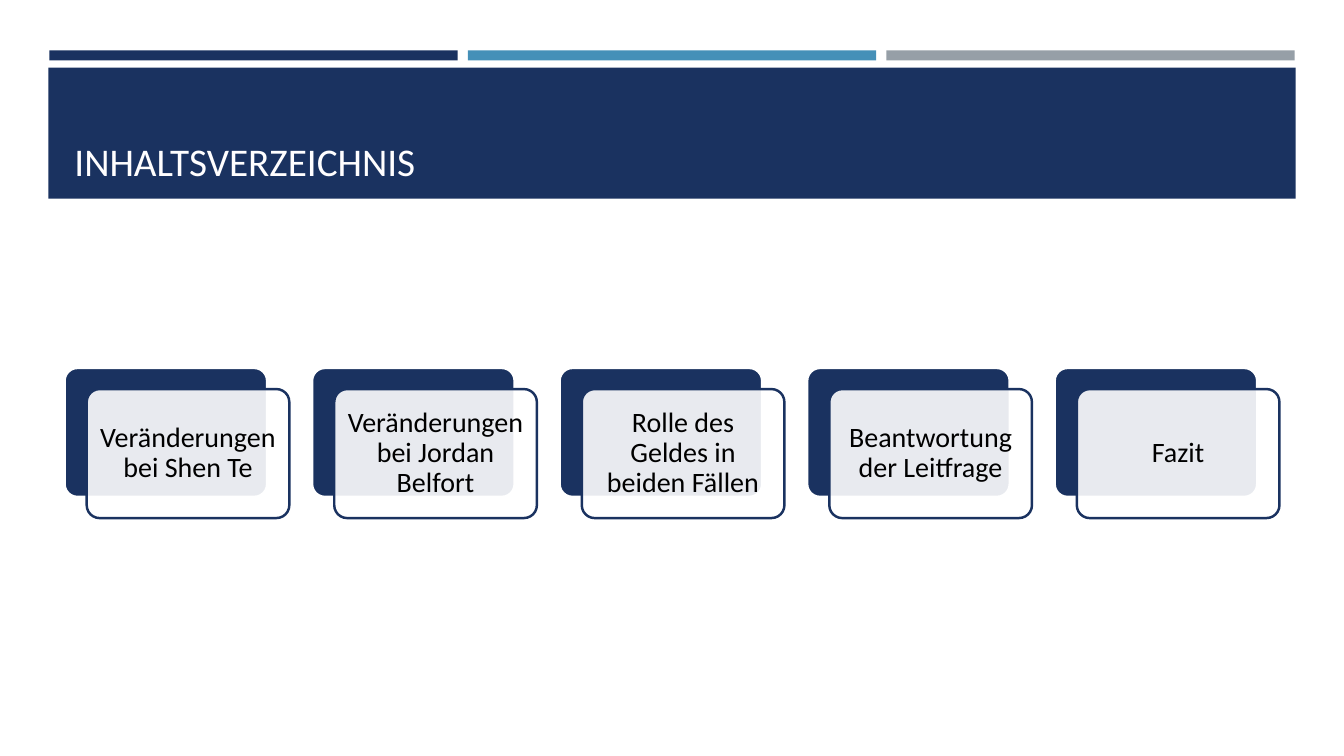
from lxml.etree import SubElement
from pptx import Presentation
from pptx.dml.color import RGBColor
from pptx.enum.shapes import MSO_SHAPE as Shape
from pptx.enum.text import MSO_ANCHOR as Anchor, PP_ALIGN as Align
from pptx.oxml.ns import qn
from pptx.util import Inches, Pt

# Content
TITLE = "INHALTSVERZEICHNIS"
TOPICS = [
    "Veränderungen bei Shen Te",
    "Veränderungen bei Jordan Belfort",
    "Rolle des Geldes in beiden Fällen",
    "Beantwortung der Leitfrage",
    "Fazit",
]

# Style
NAVY = RGBColor(0x1A, 0x32, 0x60)
BLUE = RGBColor(0x45, 0x90, 0xB8)
GREY = RGBColor(0x96, 0x9F, 0xA7)
WHITE = RGBColor(0xFF, 0xFF, 0xFF)
TITLE_WHITE = RGBColor(0xFF, 0xFE, 0xFF)
BLACK = RGBColor(0, 0, 0)
FONT = "Calibri"

# Layout in inches
BAR_LEFT, BAR_PITCH, BAR_WIDTH = 0.49, 4.15, 4.05
CARD_LEFT, CARD_TOP, CARD_PITCH = 0.64, 3.65, 2.455
CARD_WIDTH, CARD_HEIGHT = 2.01, 1.28
OFFSET_X, OFFSET_Y, TEXT_MARGIN = 0.22, 0.21, 0.04


def add_box(slide, kind, left, top, width, height, fill, line=None, opacity=None):
    shape = slide.shapes.add_shape(
        kind, Inches(left), Inches(top), Inches(width), Inches(height))
    shape.shadow.inherit = False
    shape.fill.solid()
    shape.fill.fore_color.rgb = fill
    if opacity is not None:
        color = shape.fill._xPr.find(".//" + qn("a:srgbClr"))
        SubElement(color, qn("a:alpha"), val=str(opacity * 1000))
    if line is None:
        shape.line.fill.background()
    else:
        shape.line.color.rgb = line
        shape.line.width = Pt(1.75)
    if kind == Shape.ROUNDED_RECTANGLE:
        shape.adjustments[0] = 0.1
    return shape


def add_text(slide, text, left, top, width, height, *, size, color, anchor,
             align=Align.LEFT, spacing=1.0, inset_x=0.1, inset_y=0.05):
    box = slide.shapes.add_textbox(
        Inches(left), Inches(top), Inches(width), Inches(height))
    frame = box.text_frame
    frame.word_wrap = True
    frame.vertical_anchor = anchor
    frame.margin_left = frame.margin_right = Inches(inset_x)
    frame.margin_top = frame.margin_bottom = Inches(inset_y)
    paragraph = frame.paragraphs[0]
    paragraph.alignment = align
    paragraph.line_spacing = spacing
    run = paragraph.add_run()
    run.text = text
    run.font.name = FONT
    run.font.size = Pt(size)
    run.font.color.rgb = color


def add_topic(slide, text, left):
    front_left, front_top = left + OFFSET_X, CARD_TOP + OFFSET_Y
    add_box(slide, Shape.ROUNDED_RECTANGLE, left, CARD_TOP,
            CARD_WIDTH, CARD_HEIGHT, NAVY, line=WHITE)
    add_box(slide, Shape.ROUNDED_RECTANGLE, front_left, front_top,
            CARD_WIDTH, CARD_HEIGHT, WHITE, line=NAVY, opacity=90)
    add_text(slide, text, front_left + TEXT_MARGIN, front_top + TEXT_MARGIN,
             CARD_WIDTH - 2 * TEXT_MARGIN, CARD_HEIGHT - 2 * TEXT_MARGIN,
             size=20, color=BLACK, anchor=Anchor.MIDDLE, align=Align.CENTER,
             spacing=0.9, inset_x=0.08, inset_y=0.08)


def main():
    presentation = Presentation()
    presentation.slide_width = Inches(13.33)
    presentation.slide_height = Inches(7.5)
    slide = presentation.slides.add_slide(presentation.slide_layouts[6])

    # Accent bars
    for index, color in enumerate([NAVY, BLUE, GREY]):
        add_box(slide, Shape.RECTANGLE, BAR_LEFT + index * BAR_PITCH, 0.5,
                BAR_WIDTH, 0.1, color)

    # Title band
    add_box(slide, Shape.RECTANGLE, 0.48, 0.67, 12.37, 1.3, NAVY)
    add_text(slide, TITLE, 0.64, 0.77, 12.06, 1.11,
             size=28, color=TITLE_WHITE, anchor=Anchor.BOTTOM)

    # Topic cards
    for index, topic in enumerate(TOPICS):
        add_topic(slide, topic, CARD_LEFT + index * CARD_PITCH)

    presentation.save("out.pptx")


if __name__ == "__main__":
    main()
